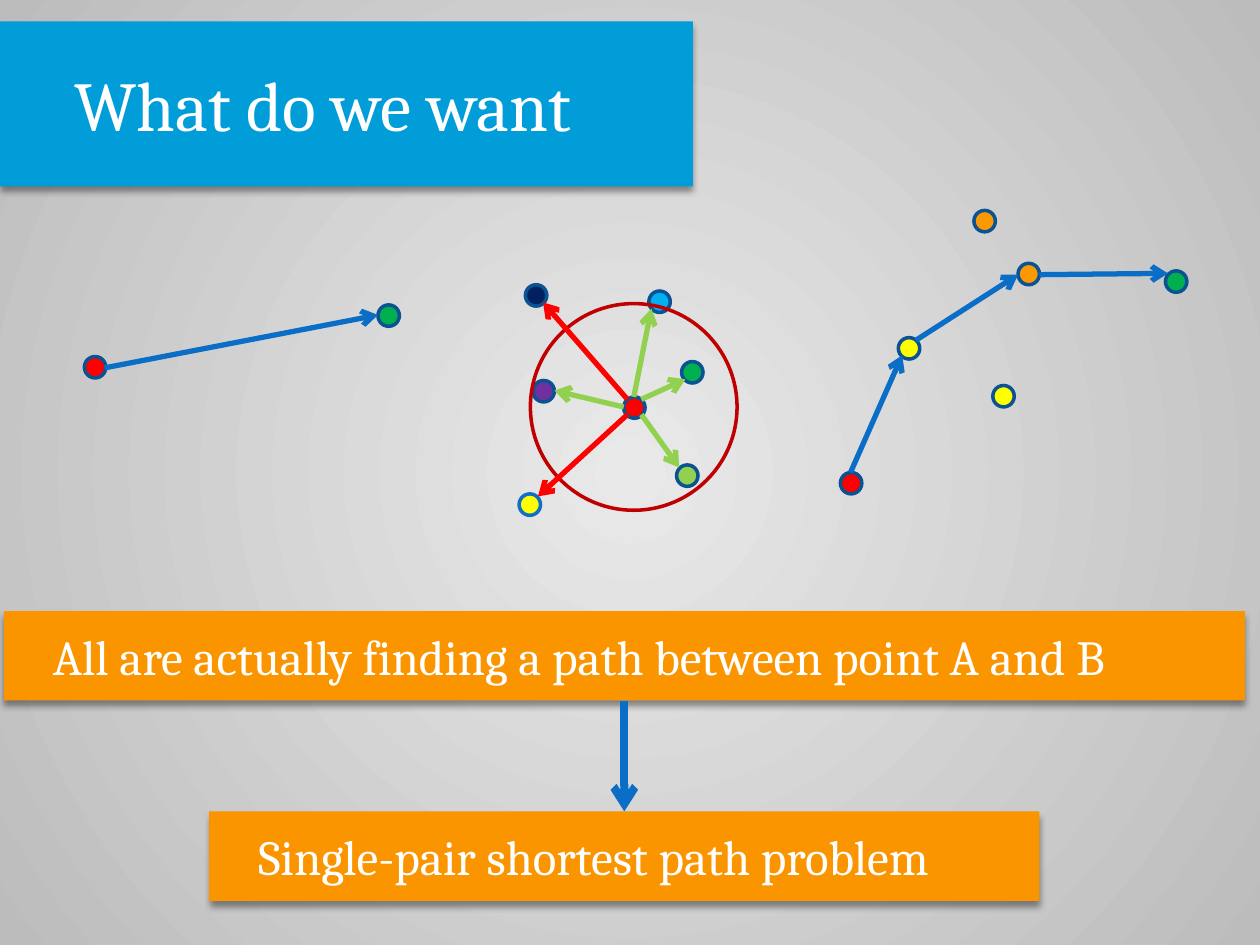
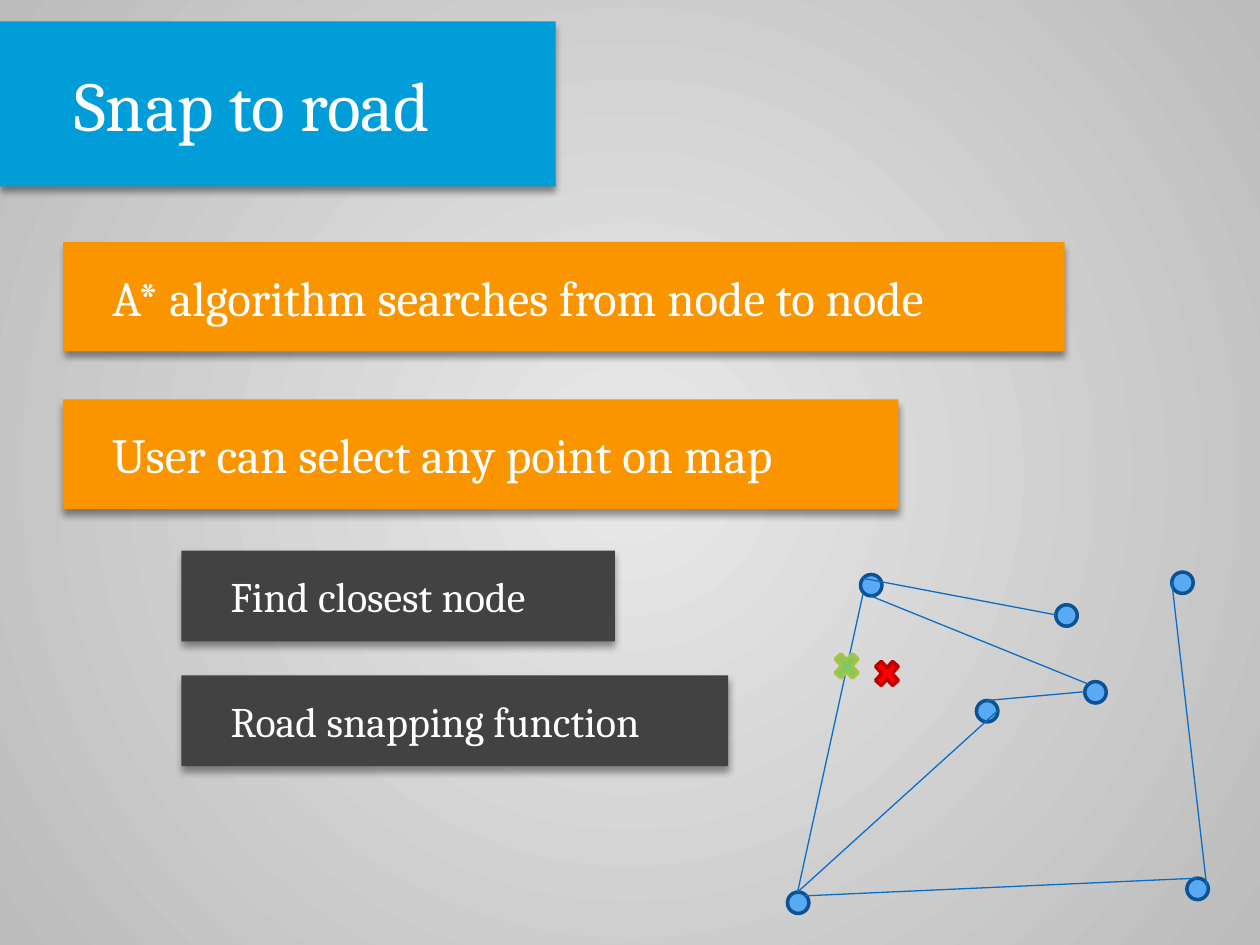
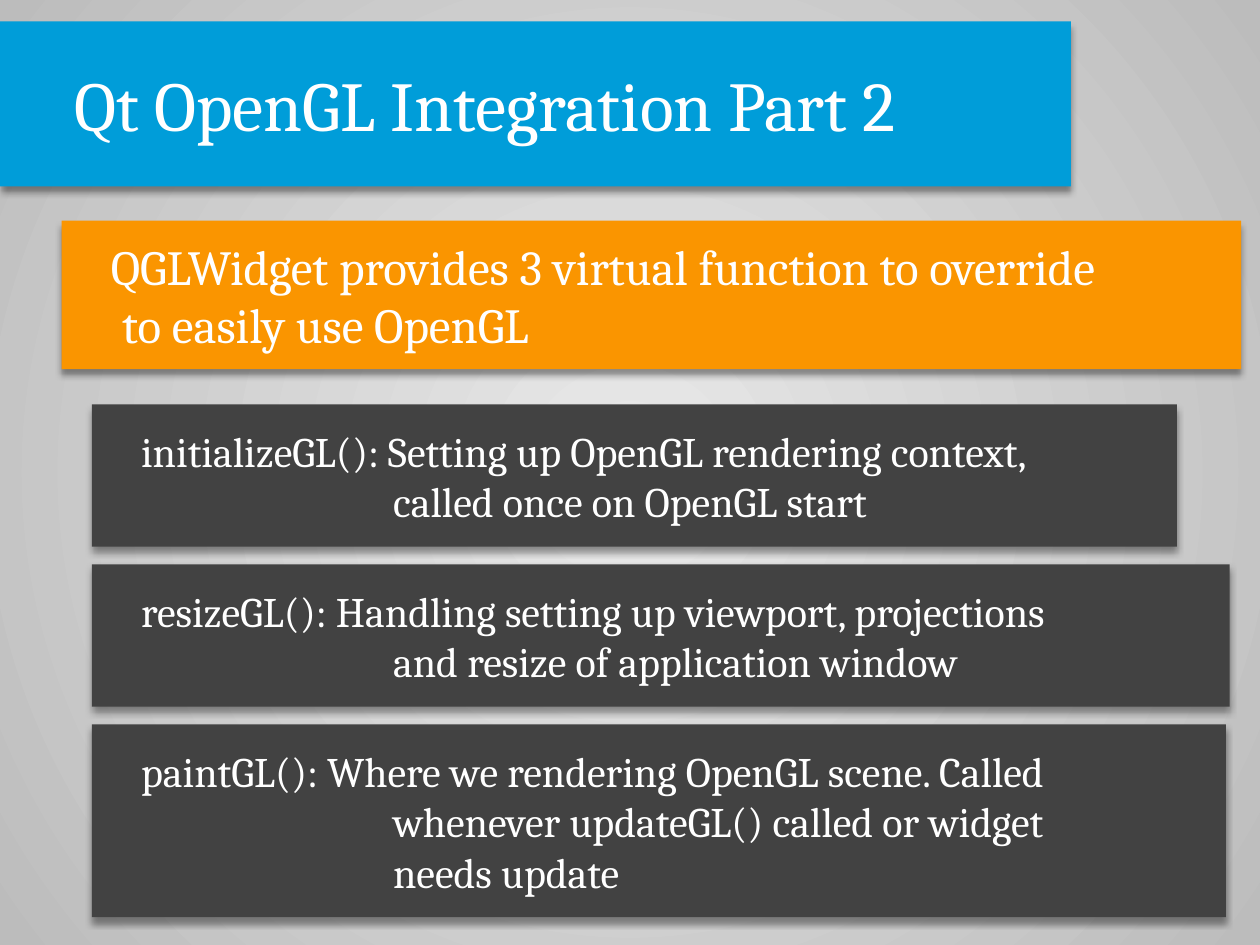
from pptx import Presentation
from pptx.dml.color import RGBColor
from pptx.enum.shapes import MSO_CONNECTOR as Connector, MSO_SHAPE as Preset
from pptx.enum.text import MSO_ANCHOR as Anchor, MSO_AUTO_SIZE as AutoSize, PP_ALIGN as Align
from pptx.oxml import parse_xml
from pptx.oxml.ns import nsdecls, qn
from pptx.util import Inches, Pt

COLOURS = {
    "title": "009DD9", "banner": "FA9500", "detail": "424242", "text": "FFFFFF",
    "centre": "E9E9E9", "rim": "BCBCBC", "shadow": "000000",
    "edge": "0B5292", "line": "0A6DC6", "node": "59AAF2",
    "red": "FF0000", "dark red": "C00000", "green": "00B050", "lime": "92D050",
    "navy": "002060", "sky": "00B0F0", "purple": "7030A0", "yellow": "FFFF00",
    "orange": "FD9900", "leaf": "7CCA62", "olive": "A5C249", "blue": "0F6FC6",
}
FONT = "Cambria"
TEXT_SIZES = {"title": 40, "banner": 28, "detail": 24}
SIDE_MARGINS = {"title": 5.9, "banner": 3.9, "detail": 3.9}

presentation = Presentation()
presentation.slide_width = Inches(10)
presentation.slide_height = Inches(7.5)
COLUMN = presentation.slide_width // 100
ROW = presentation.slide_height // 75
DOT = 1.7


def add_marker(slide, preset, left, top, width, height, fill, edge="edge"):
    shape = slide.shapes.add_shape(
        preset, round(left * COLUMN), round(top * ROW), round(width * COLUMN), round(height * ROW))
    shape.shadow.inherit = False
    if fill:
        shape.fill.solid()
        shape.fill.fore_color.rgb = RGBColor.from_string(COLOURS[fill])
    else:
        shape.fill.background()
    shape.line.color.rgb = RGBColor.from_string(COLOURS[edge])
    shape.line.width = Pt(2)
    return shape


def add_line(slide, start, end, colour="line", weight=3, arrow=True):
    connector = slide.shapes.add_connector(
        Connector.STRAIGHT, round(start[0] * COLUMN), round(start[1] * ROW),
        round(end[0] * COLUMN), round(end[1] * ROW))
    connector.line.color.rgb = RGBColor.from_string(COLOURS[colour])
    connector.line.width = Pt(weight)
    if arrow:
        connector.line._get_or_add_ln().append(
            parse_xml(f'<a:tailEnd {nsdecls("a")} type="arrow"/>'))
    connector.element.spPr.append(parse_xml(f'<a:effectLst {nsdecls("a")}/>'))
    return connector


master = presentation.slide_master
master.background.fill.solid()
plain_fill = master.element.xpath(".//p:bg//a:solidFill")[0]
plain_fill.getparent().replace(plain_fill, parse_xml(
    f'<a:gradFill {nsdecls("a")} rotWithShape="1"><a:gsLst>'
    f'<a:gs pos="0"><a:srgbClr val="{COLOURS["centre"]}"/></a:gs>'
    f'<a:gs pos="100000"><a:srgbClr val="{COLOURS["rim"]}"/></a:gs></a:gsLst>'
    '<a:path path="circle"><a:fillToRect l="50000" t="50000" r="50000" b="50000"/></a:path>'
    '</a:gradFill>'))

TITLE_ONLY = presentation.slide_layouts[5]
HANGING = 20
slide_panels = [
    [
        ("title", 0, 1.7, 55, 13.1, [("What do we want", 0)]),
        ("banner", 0.3, 48.5, 98.5, 7.1,
         [("All are actually finding a path between point A and B", 0)]),
        ("banner", 16.6, 64.4, 65.9, 7.1, [("Single-pair shortest path problem", 0)]),
    ],
    [
        ("title", 0, 1.7, 44.1, 13.1, [("Snap to road", 0)]),
        ("banner", 5, 19.2, 79.5, 8.7, [("A* algorithm searches from node to node", 0)]),
        ("banner", 5, 31.7, 66.3, 8.7, [("User can select any point on map", 0)]),
        ("detail", 14.4, 43.7, 34.4, 7.2, [("Find closest node", 0)]),
        ("detail", 14.4, 53.6, 43.4, 7.2, [("Road snapping function", 0)]),
    ],
    [
        ("title", 0, 1.7, 85, 13.1, [("Qt OpenGL Integration Part 2", 0)]),
        ("banner", 4.9, 17.5, 93.6, 11.8, [
            ("QGLWidget provides 3 virtual function to override", 0),
            ("to easily use OpenGL", 0.9)]),
        ("detail", 7.3, 32.1, 86.1, 11.3, [
            ("initializeGL(): Setting up OpenGL rendering context,", 0),
            ("called once on OpenGL start", HANGING)]),
        ("detail", 7.3, 44.8, 90.3, 11.3, [
            ("resizeGL(): Handling setting up viewport, projections", 0),
            ("and resize of application window", HANGING)]),
        ("detail", 7.3, 57.5, 90, 15.3, [
            ("paintGL(): Where we rendering OpenGL scene. Called", 0),
            ("whenever updateGL() called or widget", HANGING),
            ("needs update", HANGING)]),
    ],
]

slides = []
banners = []
for panels in slide_panels:
    slide = presentation.slides.add_slide(TITLE_ONLY)
    slides.append(slide)
    for role, left, top, width, height, lines in panels:
        if role == "title":
            shape = slide.shapes.title
        else:
            shape = slide.shapes.add_shape(Preset.RECTANGLE, 0, 0, COLUMN, ROW)
        shape.left, shape.top = round(left * COLUMN), round(top * ROW)
        shape.width, shape.height = round(width * COLUMN), round(height * ROW)
        shape.fill.solid()
        shape.fill.fore_color.rgb = RGBColor.from_string(COLOURS[role])
        shape.line.fill.background()
        shape.shadow.inherit = False
        shape.element.spPr.find(qn("a:effectLst")).append(parse_xml(
            f'<a:outerShdw {nsdecls("a")} blurRad="{Pt(4)}" dist="{Pt(3)}" dir="5400000" '
            f'algn="t" rotWithShape="0"><a:srgbClr val="{COLOURS["shadow"]}">'
            '<a:alpha val="40000"/></a:srgbClr></a:outerShdw>'))
        frame = shape.text_frame
        frame.word_wrap = True
        frame.auto_size = AutoSize.NONE
        frame.vertical_anchor = Anchor.MIDDLE
        frame.margin_left = frame.margin_right = round(SIDE_MARGINS[role] * COLUMN)
        frame.margin_top = frame.margin_bottom = ROW
        for index, (text, indent) in enumerate(lines):
            paragraph = frame.add_paragraph() if index else frame.paragraphs[0]
            paragraph.alignment = Align.LEFT
            if indent:
                paragraph._p.get_or_add_pPr().set("marL", str(round(indent * COLUMN)))
            run = paragraph.add_run()
            run.text = text
            run.font.name = FONT
            run.font.size = Pt(TEXT_SIZES[role])
            run.font.color.rgb = RGBColor.from_string(COLOURS["text"])
        if role == "banner":
            banners.append(shape)

want_slide, road_slide = slides[:2]

want_dots = [
    (6.7, 28.3, "red"), (30, 24.2, "green"),
    (49.5, 31.5, "red"), (41.7, 22.6, "navy"), (51.5, 23.1, "sky"), (54.1, 28.7, "green"),
    (53.7, 36.9, "lime"), (42.3, 30.2, "purple"), (41.2, 39.2, "yellow", "blue"),
    (66.7, 37.5, "red"), (71.3, 26.8, "yellow"), (78.8, 30.6, "yellow"),
    (80.8, 20.9, "orange"), (92.5, 21.5, "green"), (77.3, 16.7, "orange"),
]
for left, top, *colours in want_dots:
    add_marker(want_slide, Preset.OVAL, left, top, DOT, DOT, *colours)
add_marker(want_slide, Preset.OVAL, 42.1, 24.1, 16.4, 16.4, None, "dark red")

want_arrows = [
    ((8.3, 29.2), (30, 25), "line"),
    ((50.3, 31.5), (51.7, 24.5), "lime"), ((50.9, 31.7), (54.4, 30.1), "lime"),
    ((50.9, 32.9), (53.9, 37.1), "lime"), ((49.8, 32.9), (42.7, 39.4), "red"),
    ((49.5, 32.3), (44, 31), "lime"), ((49.8, 31.7), (43.1, 24), "red"),
    ((67.5, 37.5), (71.6, 28.2), "line"), ((72.7, 27), (80.8, 21.8), "line"),
    ((82.5, 21.8), (92.7, 21.7), "line"),
]
for start, end, colour in want_arrows:
    add_line(want_slide, start, end, colour)
conclusion_arrow = add_line(want_slide, (49.5, 55.6), (49.5, 64.4), weight=4.5)
conclusion_arrow.begin_connect(banners[0], 2)
conclusion_arrow.end_connect(banners[1], 0)

road_nodes = [(62.5, 70.8), (93, 45.4), (77.5, 55.6), (86.1, 54.1),
              (83.8, 48), (68.3, 45.6), (94.2, 69.7)]
for left, top in road_nodes:
    add_marker(road_slide, Preset.OVAL, left, top, DOT, DOT, "node")

roads = [
    ((63.3, 70.8), (68.5, 47.1)), ((63.3, 70.8), (79.2, 56.4)),
    ((78.3, 55.6), (86.1, 54.9)), ((69.1, 47.3), (86.4, 54.3)),
    ((68.5, 45.9), (83.8, 48.8)), ((93, 46.2), (95.8, 70.6)),
    ((95, 69.7), (63.9, 71.1)),
]
for start, end in roads:
    add_line(road_slide, start, end, weight=0.75, arrow=False)

for left, top, fill, edge in [(69.1, 52, "red", "dark red"), (65.9, 51.4, "leaf", "olive")]:
    add_marker(road_slide, Preset.MATH_MULTIPLY, left, top, 2.6, 2.9, fill, edge)

presentation.save("out.pptx")
